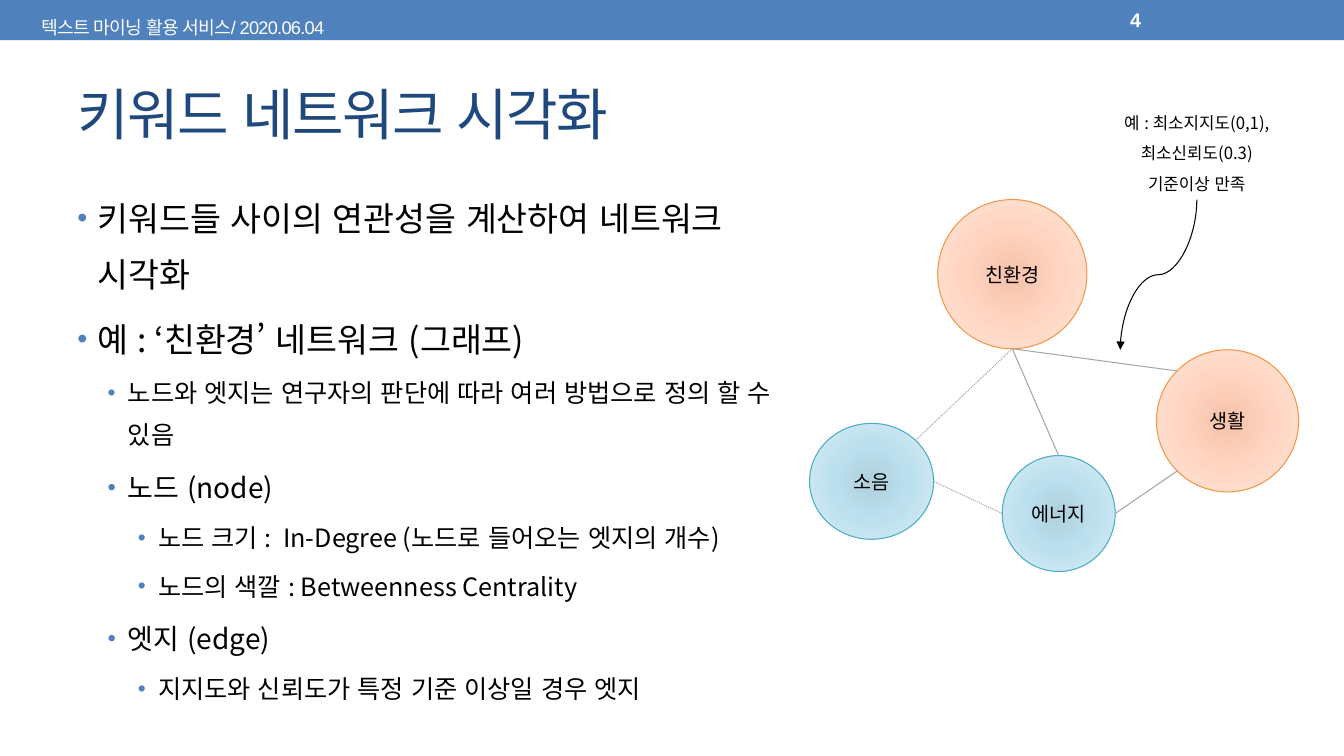
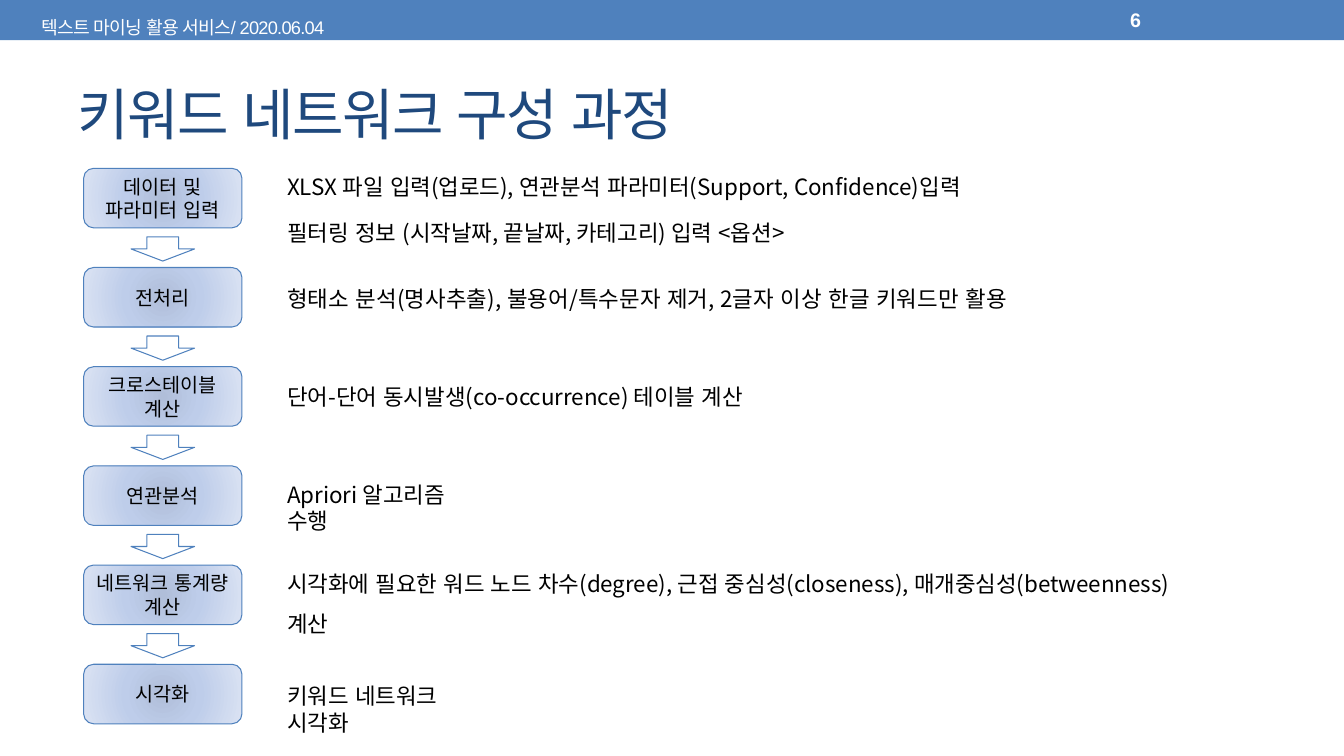
from lxml import etree
from pptx import Presentation
from pptx.dml.color import RGBColor
from pptx.enum import dml, lang, shapes, text
from pptx.oxml import ns
from pptx.util import Inches, Pt

COLORS = {
    "band": "4F81BD", "title": "1F497D", "ink": "000000", "paper": "FFFFFF",
    "edge": "A6A6A6", "orange": "F79646", "teal": "4BACC6",
}
GRADIENTS = {
    "orange": ("F6C2AA", "FFD4C0", "FFE7DD"),
    "teal": ("AFD0DD", "BCE0EE", "DAEEF6"),
    "band": ("B0BED9", "BECDEA", "DBE3F3"),
}
KOREAN, LATIN = "Noto Sans CJK KR", "Arial"
DIAGONAL = 0.35  # half of cos 45°, for the corner points of an ellipse


def rgb(name):
    return RGBColor.from_string(COLORS[name])


def sub(parent, tag, **attributes):
    return etree.SubElement(parent, ns.qn(tag), attributes)


def add_run(paragraph, words, size, color="ink", font=KOREAN, bold=False, tracking=0):
    run = paragraph.add_run()
    run.text = words
    run.font.size, run.font.bold, run.font.name = Pt(size), bold, font
    run.font.color.rgb = rgb(color)
    run.font.language_id = lang.MSO_LANGUAGE_ID.KOREAN
    properties = run.font._element
    sub(properties, "a:ea", typeface=KOREAN)
    if tracking:
        properties.set("spc", str(round(tracking * 100)))


def write(frame, lines, size, align=text.PP_ALIGN.LEFT, spacing=None, before=0,
          anchor=text.MSO_ANCHOR.TOP, **style):
    """Put one paragraph per line into the frame and return the paragraphs."""
    frame.word_wrap = True
    frame.auto_size = text.MSO_AUTO_SIZE.NONE
    frame.vertical_anchor = anchor
    for i, line in enumerate(lines):
        paragraph = frame.add_paragraph() if i else frame.paragraphs[0]
        paragraph.alignment = align
        paragraph.line_spacing = spacing
        paragraph.space_before = Pt(before)
        add_run(paragraph, line, size, **style)
    return frame.paragraphs


def add_text(slide, box, lines, size, **style):
    frame = slide.shapes.add_textbox(*map(Inches, box)).text_frame
    return write(frame, lines, size, **style)


def add_box(slide, kind, box, fill, line=None):
    shape = slide.shapes.add_shape(kind, *map(Inches, box))
    shape.shadow.inherit = False
    shape.fill.solid()
    shape.fill.fore_color.rgb = rgb(fill)
    if line:
        shape.line.color.rgb = rgb(line)
        shape.line.width = Pt(0.75)
    else:
        shape.line.fill.background()
    return shape


def add_glowing_box(slide, kind, box, hue, label):
    """Labelled shape whose fill fades outwards from its centre."""
    shape = add_box(slide, kind, box, hue, hue)
    properties = shape._element.spPr
    solid = properties.find(ns.qn("a:solidFill"))
    gradient = etree.Element(ns.qn("a:gradFill"), rotWithShape="1")
    stops = sub(gradient, "a:gsLst")
    for position, color in zip((0, 45, 100), GRADIENTS[hue]):
        sub(sub(stops, "a:gs", pos=str(position * 1000)), "a:srgbClr", val=color)
    centre = dict.fromkeys("ltrb", "50000")
    sub(sub(gradient, "a:path", path="circle"), "a:fillToRect", **centre)
    properties.replace(solid, gradient)
    write(shape.text_frame, label, 14, align=text.PP_ALIGN.CENTER,
          anchor=text.MSO_ANCHOR.MIDDLE)


def add_line(slide, start, end, color, kind=shapes.MSO_CONNECTOR.STRAIGHT):
    line = slide.shapes.add_connector(kind, *map(Inches, (*start, *end)))
    line.line.color.rgb = rgb(color)
    line.line.width = Pt(0.75)
    sub(line._element.spPr, "a:effectLst")
    return line


def add_falling_curve(slide, start, end):
    """S-shaped arrow that leaves and arrives vertically, down to the left."""
    (x1, y1), (x2, y2) = start, end
    x, y = (x1 + x2) / 2, (y1 + y2) / 2
    across, down = (x1 - x2) / 2, (y2 - y1) / 2
    curve = add_line(slide, (x - down, y - across), (x + down, y + across), "ink",
                     shapes.MSO_CONNECTOR.CURVE)
    curve._element.spPr.find(ns.qn("a:xfrm")).set("rot", str(90 * 60000))
    sub(curve.line._get_or_add_ln(), "a:tailEnd", type="triangle")


def add_page(deck, title, number):
    slide = deck.slides.add_slide(deck.slide_layouts[5])
    add_box(slide, shapes.MSO_SHAPE.RECTANGLE, (0, 0, 13.33, 0.4), "band")
    header = slide.shapes.add_textbox(*map(Inches, (0.41, 0.04, 4.08, 0.28))).text_frame
    header.margin_left = header.margin_top = header.margin_right = header.margin_bottom = 0
    write(header, ["텍스트 마이닝 활용 서비스/ 2020.06.04"], 13, spacing=Pt(24),
          color="paper", font=LATIN, tracking=-0.5)
    add_text(slide, (11.11, 0.02, 1.56, 0.36), [str(number)], 14, color="paper",
             font=LATIN, bold=True, anchor=text.MSO_ANCHOR.MIDDLE)
    heading = slide.shapes.title
    heading.left, heading.top, heading.width, heading.height = map(
        Inches, (0.67, 0.58, 12, 1.08))
    write(heading.text_frame, [title], 40, color="title", tracking=-1,
          anchor=text.MSO_ANCHOR.MIDDLE)
    return slide


def add_bullets(slide, box, items):
    """Items are (indent step, size, words)."""
    frame = slide.shapes.add_textbox(*map(Inches, box)).text_frame
    frame.word_wrap = True
    for i, (step, size, words) in enumerate(items):
        paragraph = frame.add_paragraph() if i else frame.paragraphs[0]
        paragraph.line_spacing = 1.4
        paragraph.space_before = Pt(size * 0.25)
        add_run(paragraph, words, size)
        properties = paragraph._p.get_or_add_pPr()
        properties.set("marL", str(Inches(0.2 + 0.3 * step)))
        properties.set("indent", str(Inches(-0.2)))
        sub(sub(properties, "a:buClr"), "a:srgbClr", val=COLORS["band"])
        sub(properties, "a:buSzPct", val="90000" if size == 18 else "85000")
        sub(properties, "a:buFont", typeface=LATIN)
        sub(properties, "a:buChar", char="•")


def add_network(slide, left, top):
    nodes = {
        "친환경": (1.27, 0, 1.48, 1.48, "orange"),
        "에너지": (1.91, 2.54, 1.12, 1.15, "teal"),
        "소음": (0, 2.22, 1.23, 1.15, "teal"),
        "생활": (3.44, 1.49, 1.41, 1.41, "orange"),
    }
    edges = [
        ("친환경", (0, 0.5), "에너지", (0, -0.5), False),
        ("친환경", (0, 0.5), "소음", (DIAGONAL, -DIAGONAL), True),
        ("친환경", (0, 0.5), "생활", (-DIAGONAL, -DIAGONAL), False),
        ("생활", (-DIAGONAL, DIAGONAL), "에너지", (0.5, 0), False),
        ("에너지", (-0.5, 0), "소음", (0.5, 0), True),
    ]

    def point(name, offset):
        x, y, width, height, _ = nodes[name]
        return (left + x + width * (0.5 + offset[0]),
                top + y + height * (0.5 + offset[1]))

    for name, (x, y, width, height, hue) in nodes.items():
        add_glowing_box(slide, shapes.MSO_SHAPE.OVAL,
                        (left + x, top + y, width, height), hue, [name])
    for source, source_side, target, target_side, dotted in edges:
        edge = add_line(slide, point(source, source_side),
                        point(target, target_side), "edge")
        if dotted:
            edge.line.dash_style = dml.MSO_LINE.ROUND_DOT
    add_text(slide, (left + 2.83, top - 1.01, 2.02, 1.01),
             ["예 : 최소지지도(0,1),", "최소신뢰도(0.3)", "기준이상 만족"], 12,
             align=text.PP_ALIGN.CENTER, spacing=1.5)
    add_falling_curve(slide, (left + 3.84, top), (left + 3.08, top + 1.49))


def add_process(slide, left, top, steps):
    width, height, pitch = 1.57, 0.59, 4.92 / 5
    for i, label in enumerate(steps):
        y = top + i * pitch
        add_glowing_box(slide, shapes.MSO_SHAPE.ROUNDED_RECTANGLE,
                        (left, y, width, height), "band", label)
        if i < len(steps) - 1:
            add_box(slide, shapes.MSO_SHAPE.DOWN_ARROW,
                    (left + (width - 0.63) / 2, y + 0.68, 0.63, 0.24), "paper", "band")


def add_explanations(slide, left):
    rows = [
        (1.54, 7.93, 0.97, ["XLSX 파일 입력(업로드), 연관분석 파라미터(Support, Confidence)입력",
                            "필터링 정보 (시작날짜, 끝날짜, 카테고리) 입력 <옵션>"],
         {"spacing": 1.5, "before": 4}),
        (2.73, 7.76, 0.37,
         ["형태소 분석(명사추출), 불용어/특수문자 제거, 2글자 이상 한글 키워드만 활용"],
         {"spacing": 1.2, "tracking": 0.1}),
        (3.75, 7.25, 0.37, ["단어-단어 동시발생(co-occurrence) 테이블 계산"], {}),
        (4.72, 2.17, 0.37, ["Apriori 알고리즘 수행"], {}),
        (5.47, 9.03, 0.87, ["시각화에 필요한 워드 노드 차수(degree), 근접 중심성(closeness), "
                            "매개중심성(betweenness) 계산"], {"spacing": 1.5}),
        (6.72, 2.3, 0.37, ["키워드 네트워크 시각화"], {}),
    ]
    for top, width, height, lines, style in rows:
        add_text(slide, (left, top, width, height), lines, 16, **style)


def build_network_slide(deck):
    slide = add_page(deck, "키워드 네트워크 시각화", 4)
    add_bullets(slide, (0.67, 1.75, 7.36, 5.33), [
        (0, 24, "키워드들 사이의 연관성을 계산하여 네트워크 시각화"),
        (0, 24, "예 : ‘친환경’ 네트워크 (그래프)"),
        (1, 18, "노드와 엣지는 연구자의 판단에 따라 여러 방법으로 정의 할 수 있음"),
        (1, 20, "노드 (node)"),
        (2, 18, "노드 크기 :  In-Degree (노드로 들어오는 엣지의 개수)"),
        (2, 18, "노드의 색깔 : Betweenness Centrality"),
        (1, 20, "엣지 (edge)"),
        (2, 18, "지지도와 신뢰도가 특정 기준 이상일 경우 엣지"),
    ])
    add_network(slide, 8.03, 1.98)


def build_process_slide(deck):
    slide = add_page(deck, "키워드 네트워크 구성 과정", 6)
    add_process(slide, 0.83, 1.67, [
        ["데이터 및 파라미터 입력"], ["전처리"], ["크로스테이블", "계산"],
        ["연관분석"], ["네트워크 통계량 계산"], ["시각화"],
    ])
    add_explanations(slide, 2.75)


def main():
    deck = Presentation()
    deck.slide_width, deck.slide_height = Inches(13.33), Inches(7.5)
    build_network_slide(deck)
    build_process_slide(deck)
    deck.save("out.pptx")


if __name__ == "__main__":
    main()
